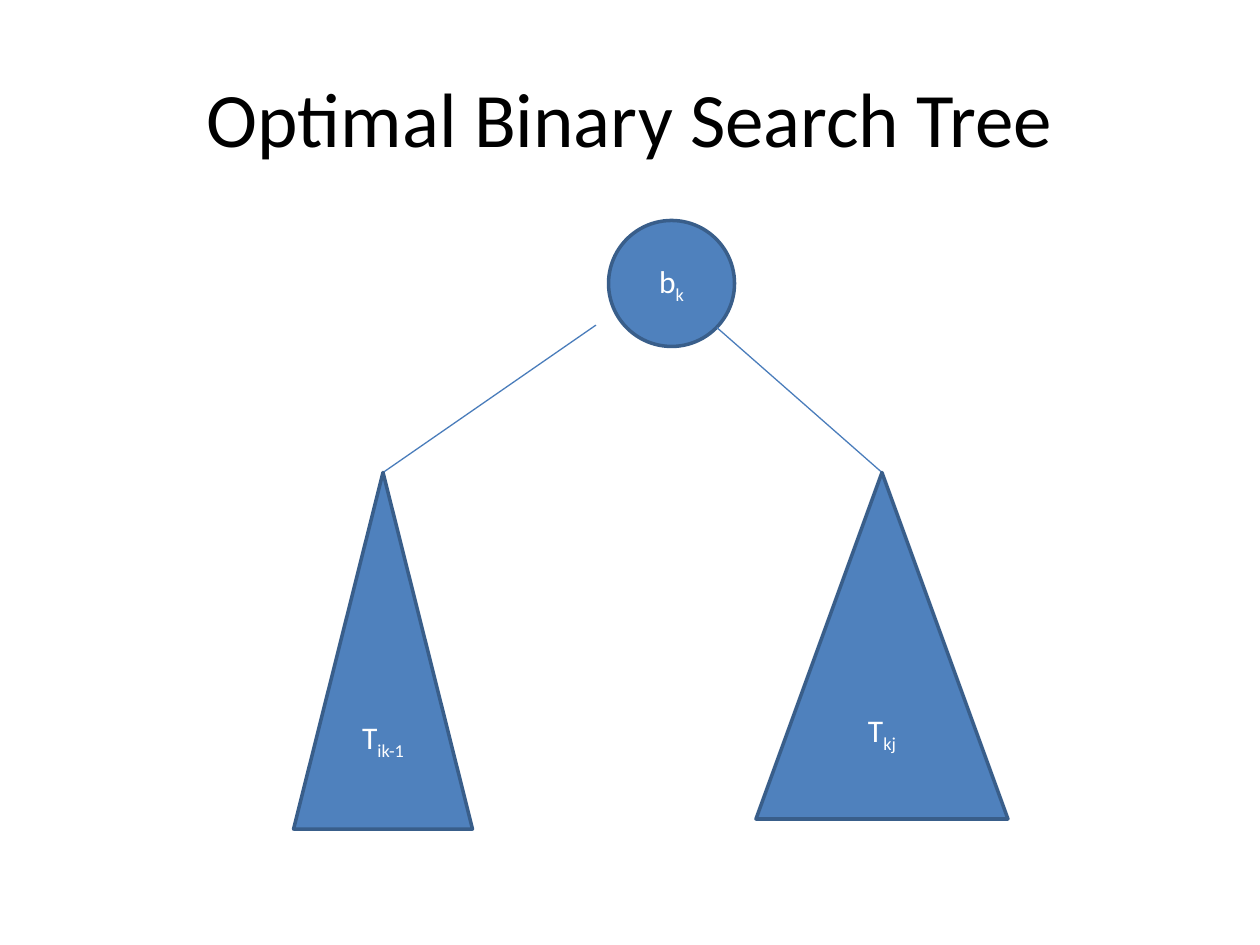
from dataclasses import dataclass

from lxml.etree import SubElement
from pptx import Presentation
from pptx.dml.color import RGBColor
from pptx.enum.shapes import MSO_CONNECTOR, MSO_SHAPE
from pptx.enum.text import MSO_ANCHOR, PP_ALIGN
from pptx.oxml.ns import qn
from pptx.util import Inches, Pt


@dataclass(frozen=True)
class Theme:
    """Colours, font and sizes of the slide."""
    font: str = "Calibri"
    text: str = "000000"
    fill: str = "4F81BD"
    outline: str = "395E8A"
    edge: str = "4A7DBB"
    label: str = "FFFFFF"
    title_size: float = 44
    label_size: float = 18
    outline_width: float = 2
    edge_width: float = 0.75


@dataclass(frozen=True)
class Node:
    """A root or subtree with a subscripted label."""
    kind: MSO_SHAPE
    left: float
    top: float
    width: float
    height: float
    name: str
    sub: str


@dataclass(frozen=True)
class Edge:
    """A line from the root to the tip of a subtree."""
    x: float
    y: float
    child: Node


THEME = Theme()
ROOT = Node(MSO_SHAPE.OVAL, 4.83, 1.75, 1, 1, "b", "k")
LEFT = Node(MSO_SHAPE.ISOSCELES_TRIANGLE, 2.33, 3.75, 1.42, 2.83, "T", "ik-1")
RIGHT = Node(MSO_SHAPE.ISOSCELES_TRIANGLE, 6, 3.75, 2, 2.75, "T", "kj")
EDGES = (Edge(4.73, 2.58, LEFT), Edge(5.69, 2.6, RIGHT))


def add_text(tf, text: str, *, size: float, color: str, sub: str = "") -> None:
    """Write centred text with an optional subscript."""
    tf.word_wrap = True
    tf.vertical_anchor = MSO_ANCHOR.MIDDLE
    p = tf.paragraphs[0]
    p.alignment = PP_ALIGN.CENTER
    for part in filter(None, (text, sub)):
        r = p.add_run()
        r.text = part
        r.font.name = THEME.font
        r.font.size = Pt(size)
        r.font.color.rgb = RGBColor.from_string(color)
    if sub:
        r.font._element.set("baseline", "-25000")


def add_node(s, node: Node) -> None:
    """Draw a filled node and its label."""
    box = (node.left, node.top, node.width, node.height)
    sp = s.shapes.add_shape(node.kind, *map(Inches, box))
    sp.shadow.inherit = False
    sp.fill.solid()
    sp.fill.fore_color.rgb = RGBColor.from_string(THEME.fill)
    sp.line.color.rgb = RGBColor.from_string(THEME.outline)
    sp.line.width = Pt(THEME.outline_width)
    add_text(sp.text_frame, node.name, sub=node.sub,
             size=THEME.label_size, color=THEME.label)


def add_edge(s, edge: Edge) -> None:
    """Draw a line to the top centre of the child."""
    tip = (edge.child.left + edge.child.width / 2, edge.child.top)
    ends = map(Inches, (edge.x, edge.y, *tip))
    sp = s.shapes.add_connector(MSO_CONNECTOR.STRAIGHT, *ends)
    sp.line.color.rgb = RGBColor.from_string(THEME.edge)
    sp.line.width = Pt(THEME.edge_width)
    SubElement(sp._element.spPr, qn("a:effectLst"))


def main() -> None:
    """Build and save the slide."""
    prs = Presentation()
    prs.slide_width, prs.slide_height = Inches(10), Inches(7.5)
    s = prs.slides.add_slide(prs.slide_layouts[5])
    title = s.shapes.title
    title.left, title.top = Inches(0.5), Inches(0.3)
    title.width, title.height = Inches(9), Inches(1.25)
    add_text(title.text_frame, "Optimal Binary Search Tree",
             size=THEME.title_size, color=THEME.text)
    add_node(s, ROOT)
    for edge in EDGES:
        add_edge(s, edge)
    for subtree in (LEFT, RIGHT):
        add_node(s, subtree)
    prs.save("out.pptx")


if __name__ == "__main__":
    main()
